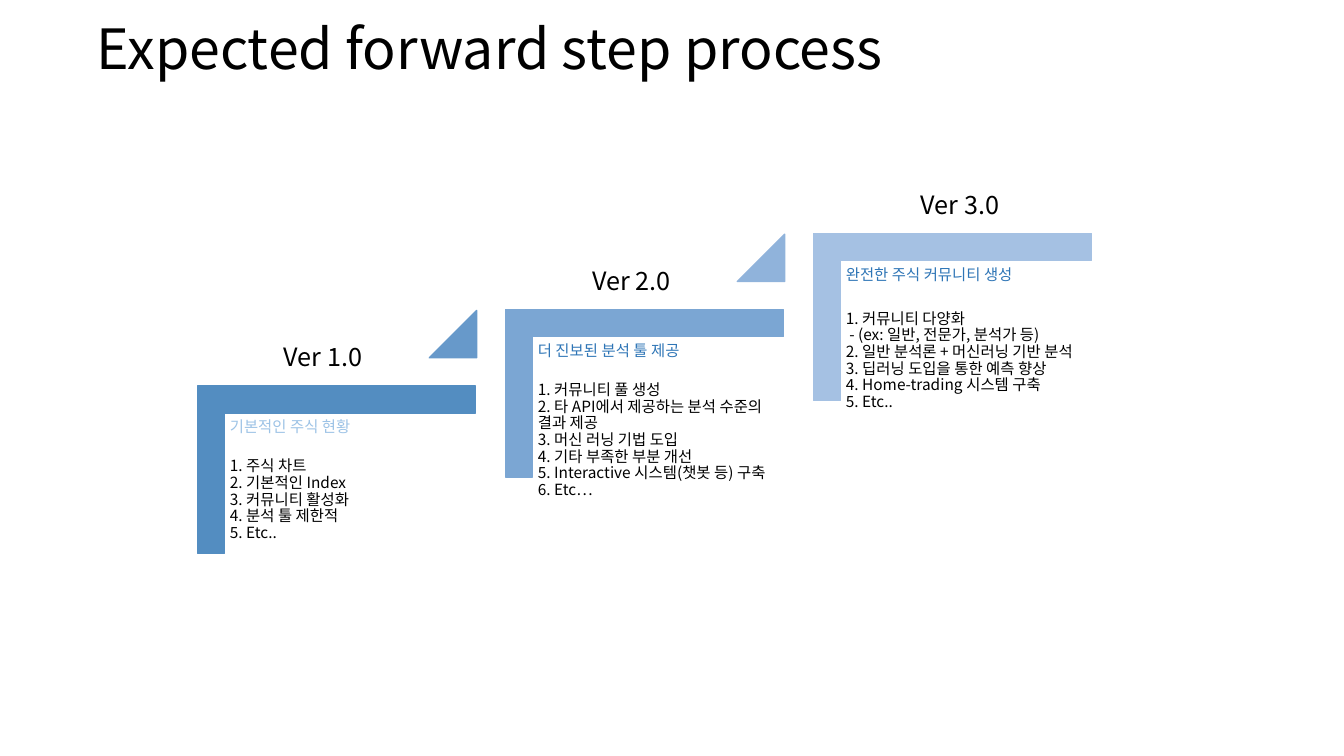
from pptx import Presentation
from pptx.dml.color import RGBColor
from pptx.enum.shapes import MSO_SHAPE as Preset
from pptx.enum.text import MSO_ANCHOR as Anchor, MSO_AUTO_SIZE as AutoSize, PP_ALIGN as Align
from pptx.oxml.ns import qn
from pptx.util import Pt
from lxml.etree import SubElement

FONT = "Noto Sans CJK KR"
COLORS = {
    "ink": "000000", "pale": "9DC3E6", "blue": "2E75B6",
    "step1": "538DC1", "step2": "7BA6D3", "step3": "A5C1E3",
    "rise1": "6799CA", "rise2": "90B3DB",
}
PITCH, RISE = 220, 54.5

STEPS = [
    {"label": "Ver 1.0", "label_left": 173.5, "corner": "step1", "triangle": "rise1",
     "heading": "기본적인 주식 현황", "heading_color": "pale", "gap": 16,
     "items": ["1. 주식 차트", "2. 기본적인 Index", "3. 커뮤니티 활성화",
               "4. 분석 툴 제한적", "5. Etc.."]},
    {"label": "Ver 2.0", "label_left": 394, "corner": "step2", "triangle": "rise2",
     "heading": "더 진보된 분석 툴 제공", "heading_color": "blue", "gap": 16,
     "items": ["1. 커뮤니티 풀 생성", "2. 타 API에서 제공하는 분석 수준의 결과 제공",
               "3. 머신 러닝 기법 도입", "4. 기타 부족한 부분 개선",
               "5. Interactive 시스템(챗봇 등) 구축", "6. Etc…"]},
    {"label": "Ver 3.0", "label_left": 628.5, "corner": "step3", "triangle": None,
     "heading": "완전한 주식 커뮤니티 생성", "heading_color": "blue", "gap": 19.5,
     "items": ["1. 커뮤니티 다양화", " - (ex: 일반, 전문가, 분석가 등)",
               "2. 일반 분석론 + 머신러닝 기반 분석", "3. 딥러닝 도입을 통한 예측 향상",
               "4. Home-trading 시스템 구축", "5. Etc.."]},
]


class StepPage:
    """Holds the style and the current slide."""

    def __init__(self, deck):
        """Add a title-only slide to the deck."""
        self.page = deck.slides.add_slide(deck.slide_layouts[5])

    def add_span(self, para, text, size, color, **format_values):
        """Put one styled run into a paragraph."""
        for name, value in format_values.items():
            setattr(para, name, value)
        span = para.add_run()
        span.text = text
        span.font.size = Pt(size)
        span.font.name = FONT
        span.font.color.rgb = RGBColor.from_string(COLORS[color])
        SubElement(span.font._element, qn("a:ea"), typeface=FONT)

    def frame(self, box, **format_values):
        """Format a text frame and return it."""
        values = {"word_wrap": True, "auto_size": AutoSize.NONE, **format_values}
        for name, value in values.items():
            setattr(box.text_frame, name, value)
        return box.text_frame

    def title(self, text, left, top, width, height):
        """Move and format the title placeholder."""
        box = self.page.shapes.title
        box.left, box.top, box.width, box.height = map(Pt, (left, top, width, height))
        frame = self.frame(box, vertical_anchor=Anchor.MIDDLE)
        self.add_span(frame.paragraphs[0], text, 39.6, "ink",
                      alignment=Align.LEFT, line_spacing=0.8)

    def shape(self, preset, color, left, top, width, height, adjustments, rotation=0):
        """Draw a preset shape in one colour."""
        shape = self.page.shapes.add_shape(preset, *map(Pt, (left, top, width, height)))
        shape.shadow.inherit = False
        shape.rotation = rotation
        for index, value in enumerate(adjustments):
            shape.adjustments[index] = value
        tone = RGBColor.from_string(COLORS[color])
        shape.fill.solid()
        shape.fill.fore_color.rgb = tone
        shape.line.color.rgb = tone
        shape.line.width = Pt(1)

    def label(self, text, left, top):
        """Add a centred version label."""
        box = self.page.shapes.add_textbox(*map(Pt, (left, top, 114.5, 29)))
        frame = self.frame(box, auto_size=AutoSize.SHAPE_TO_FIT_TEXT)
        self.add_span(frame.paragraphs[0], text, 18, "ink", alignment=Align.CENTER)

    def body(self, step, left, top):
        """Add the coloured heading and the list of a step."""
        box = self.page.shapes.add_textbox(*map(Pt, (left, top, 180, 157.7)))
        inset = Pt(3.6)
        frame = self.frame(box, margin_left=inset, margin_top=inset,
                           margin_right=inset, margin_bottom=inset)
        spacing = Pt(11.9)
        self.add_span(frame.paragraphs[0], step["heading"], 11, step["heading_color"],
                      line_spacing=spacing, space_after=Pt(step["gap"]))
        for item in step["items"]:
            self.add_span(frame.add_paragraph(), item, 11, "ink", line_spacing=spacing)


def main():
    """Build the staircase of versions and save it."""
    deck = Presentation()
    deck.slide_width, deck.slide_height = Pt(960), Pt(540)
    page = StepPage(deck)
    page.title("Expected forward step process", 62, 14.4, 828, 47.5)
    for index, step in enumerate(STEPS):
        across, up = index * PITCH, index * RISE
        page.shape(Preset.CORNER, step["corner"], 180.7 + across, 236.2 - up,
                   119.5, 198.7, (0.161, 0.161), rotation=90)
        page.body(step, 160.6 + across, 295.9 - up)
        if step["triangle"]:
            page.shape(Preset.ISOSCELES_TRIANGLE, step["triangle"],
                       306.7 + across, 221.8 - up, 33.8, 33.8, (1,))
        page.label(step["label"], step["label_left"], 240.5 - up)
    deck.save("out.pptx")


main()
